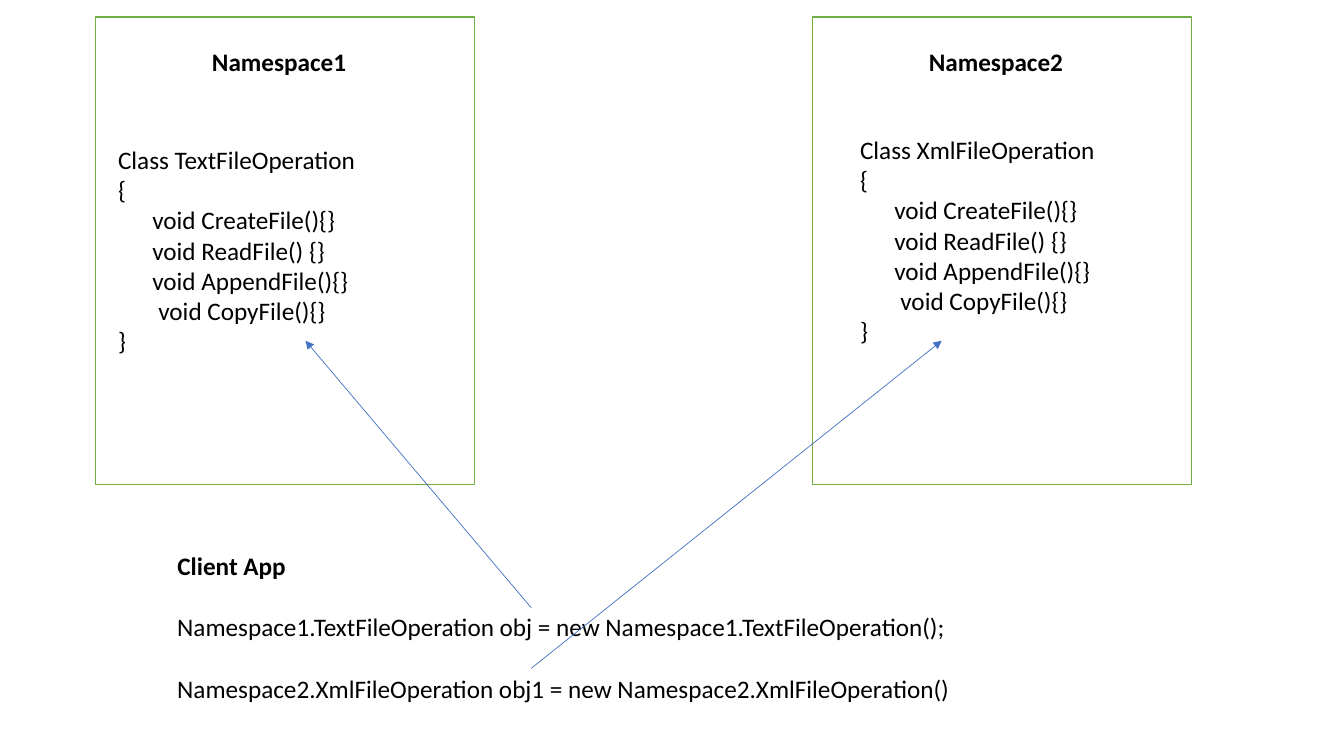
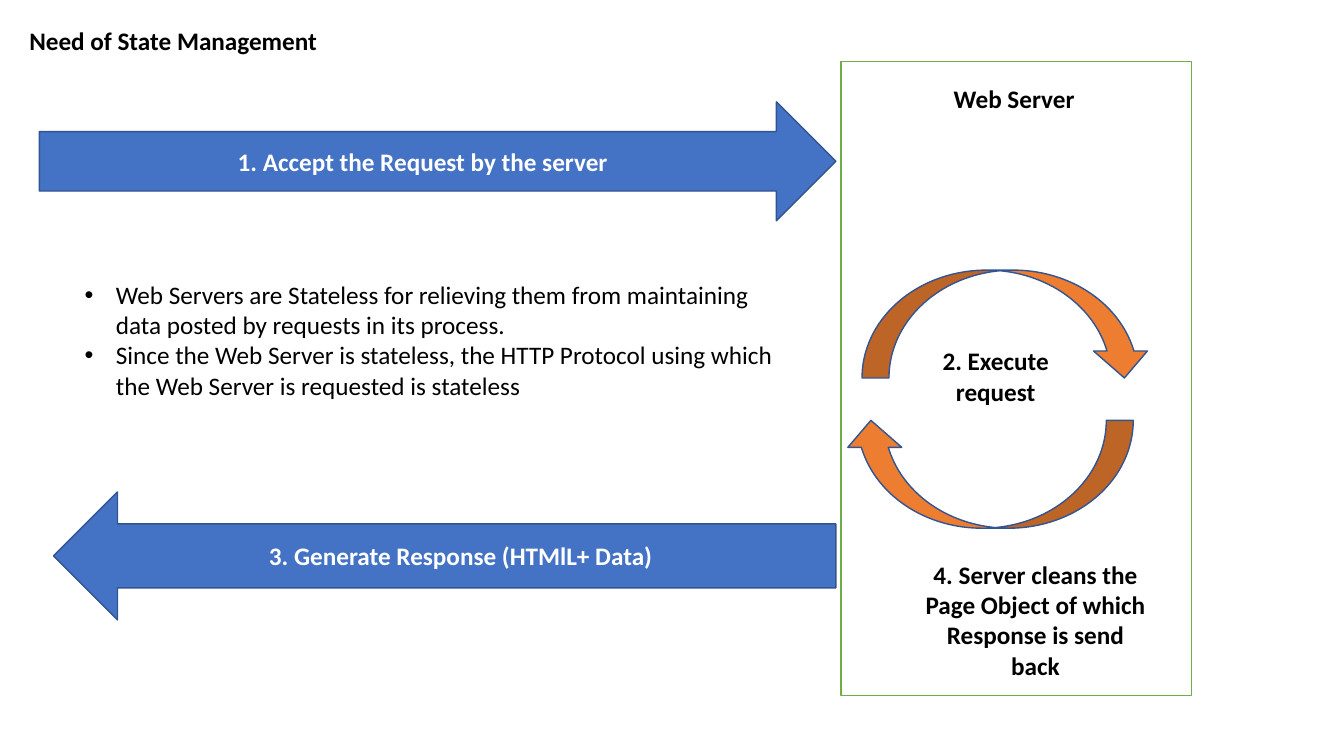
from lxml.etree import SubElement
from pptx import Presentation
from pptx.dml.color import RGBColor
from pptx.enum.shapes import MSO_CONNECTOR, MSO_SHAPE
from pptx.enum.text import MSO_ANCHOR, MSO_AUTO_SIZE, PP_ALIGN
from pptx.oxml.ns import qn
from pptx.util import Inches, Pt

# Content; places are left, top, width, height in percent of the slide
METHODS = ["void CreateFile(){}", "void ReadFile() {}",
           "void AppendFile(){}", "void CopyFile(){}"]
INDENTS = [0, 0, 0.34, 0.34, 0.34, 0.4, 0]
SPACES = [("Namespace1", "TextFileOperation", 0.9, 18.4),
          ("Namespace2", "XmlFileOperation", 2.77, 17.07)]
CLIENT = ["Namespace1.TextFileOperation obj = new Namespace1.TextFileOperation();",
          "Namespace2.XmlFileOperation obj1 = new Namespace2.XmlFileOperation()"]
CALLS = [(39.53, 80.4, 22.73, 45.07), (39.53, 88.4, 70.07, 45.07)]

REASONS = ["Web Servers are Stateless for relieving them from maintaining "
           "data posted by requests in its process.",
           "Since the Web Server is stateless, the HTTP Protocol using which "
           "the Web Server is requested is stateless"]
FLOWS = [("1. Accept the Request by the server", MSO_SHAPE.RIGHT_ARROW,
          (2.93, 13.47, 59.27, 15.73)),
         ("3. Generate Response (HTMlL+ Data)", MSO_SHAPE.LEFT_ARROW,
          (3.98, 65.07, 58.21, 16.93))]
LOOPS = [(64.14, 35.73, 0), (62.79, 55.6, 180)]
LABELS = [("Web Server", (63.84, 10.4, 23.25, 5.33)),
          ("2. Execute request", (67.82, 45.07, 12.53, 9.47)),
          ("4. Server cleans the Page Object of which Response is send back",
           (67.82, 73.33, 18.45, 17.47))]

# Shared style
COLORS = {"white": "FFFFFF", "black": "000000", "green": "70AD47",
          "blue": "4472C4", "navy": "325491", "orange": "ED7D31"}
FONT, SIZE, LINE = "Calibri", Pt(18), 5.33

deck = Presentation()
deck.slide_width, deck.slide_height = Inches(13.33), Inches(7.5)


def color(name):
    return RGBColor.from_string(COLORS[name])


def scale(box):
    sides = (deck.slide_width, deck.slide_height) * 2
    return [round(part * side / 100) for part, side in zip(box, sides)]


def place(shape, box):
    shape.left, shape.top, shape.width, shape.height = scale(box)
    return shape


def write(shape, lines, bold=False, center=False, ink="black",
          indents=None, bullet=False, gap=0, anchor=MSO_ANCHOR.TOP):
    frame = shape.text_frame
    frame.text = "\n".join(lines)
    frame.word_wrap = True
    frame.auto_size = MSO_AUTO_SIZE.NONE
    frame.vertical_anchor = anchor
    for row, para in enumerate(frame.paragraphs):
        para.alignment = PP_ALIGN.CENTER if center else PP_ALIGN.LEFT
        para.line_spacing = 1.0
        para.space_before = Pt(gap if row else 0)
        para.space_after = Pt(0)
        props = para._p.get_or_add_pPr()
        left = 0.31 if bullet else indents[row] if indents else 0
        props.set("marL", str(Inches(left)))
        props.set("indent", str(Inches(-0.31 if bullet else 0)))
        if bullet:
            SubElement(props, qn("a:buChar"), char="•")
        else:
            SubElement(props, qn("a:buNone"))
        for run in para.runs:
            font = run.font
            font.name, font.size, font.bold = FONT, SIZE, bold
            font.color.rgb = color(ink)


def label(slide, box, lines, **style):
    write(slide.shapes.add_textbox(*scale(box)), lines, **style)


def draw(slide, kind, box, fill, line):
    shape = slide.shapes.add_shape(kind, *scale(box))
    shape.shadow.inherit = False
    shape.fill.solid()
    shape.fill.fore_color.rgb = color(fill)
    shape.line.color.rgb = color(line)
    shape.line.width = Pt(1)
    return shape


def panel(slide, box):
    shape = draw(slide, MSO_SHAPE.RECTANGLE, box, "white", "green")
    slide.shapes._spTree.insert(2, shape._element)  # behind the text


def arrow(slide, ends):
    link = slide.shapes.add_connector(MSO_CONNECTOR.STRAIGHT, *scale(ends))
    link.line.color.rgb = color("blue")
    link.line.width = Pt(0.5)
    SubElement(link.line._get_or_add_ln(), qn("a:tailEnd"), type="triangle")
    SubElement(link._element.spPr, qn("a:effectLst"))


def start(layout, title, box):
    slide = deck.slides.add_slide(deck.slide_layouts[layout])
    write(place(slide.shapes.title, box), [title], bold=True)
    return slide


# Slide 1: two namespaces and the client that uses them
slide = start(4, "Client App", (12.45, 72.13, 79.9, LINE))
holders = list(slide.placeholders)[1:]
for col, (space, kind, shift, top) in enumerate(SPACES):
    left = 7.13 + col * 53.34
    head, code = holders[2 * col:2 * col + 2]
    panel(slide, (left, 2.27, 28.2, 61.87))
    write(place(head, (left + 1.37, 5.47, 24.53, LINE)), [space],
          bold=True, center=True)
    write(place(code, (left + shift, top, 26.3, 30)),
          ["Class " + kind, "{", *METHODS, "}"], indents=INDENTS)
label(slide, (12.45, 80.27, 79.9, 13.4), CLIENT, gap=22)
for ends in CALLS:
    arrow(slide, ends)

# Slide 2: request cycle of a stateless server
slide = start(1, "Need of State Management", (1.43, 2.67, 96.47, LINE))
panel(slide, (62.57, 8.13, 26.1, 83.87))
write(place(slide.placeholders[1], (5.55, 36.27, 52.81, 17.47)),
      REASONS, bullet=True)
for text, kind, box in FLOWS:
    write(draw(slide, kind, box, "blue", "navy"), [text], bold=True,
          center=True, ink="white", anchor=MSO_ANCHOR.MIDDLE)
for left, top, turn in LOOPS:
    loop = draw(slide, MSO_SHAPE.CURVED_DOWN_ARROW,
                (left, top, 21.53, 14.27), "orange", "navy")
    loop.rotation = turn
for text, box in LABELS:
    label(slide, box, [text], bold=True, center=True)

deck.save("out.pptx")
